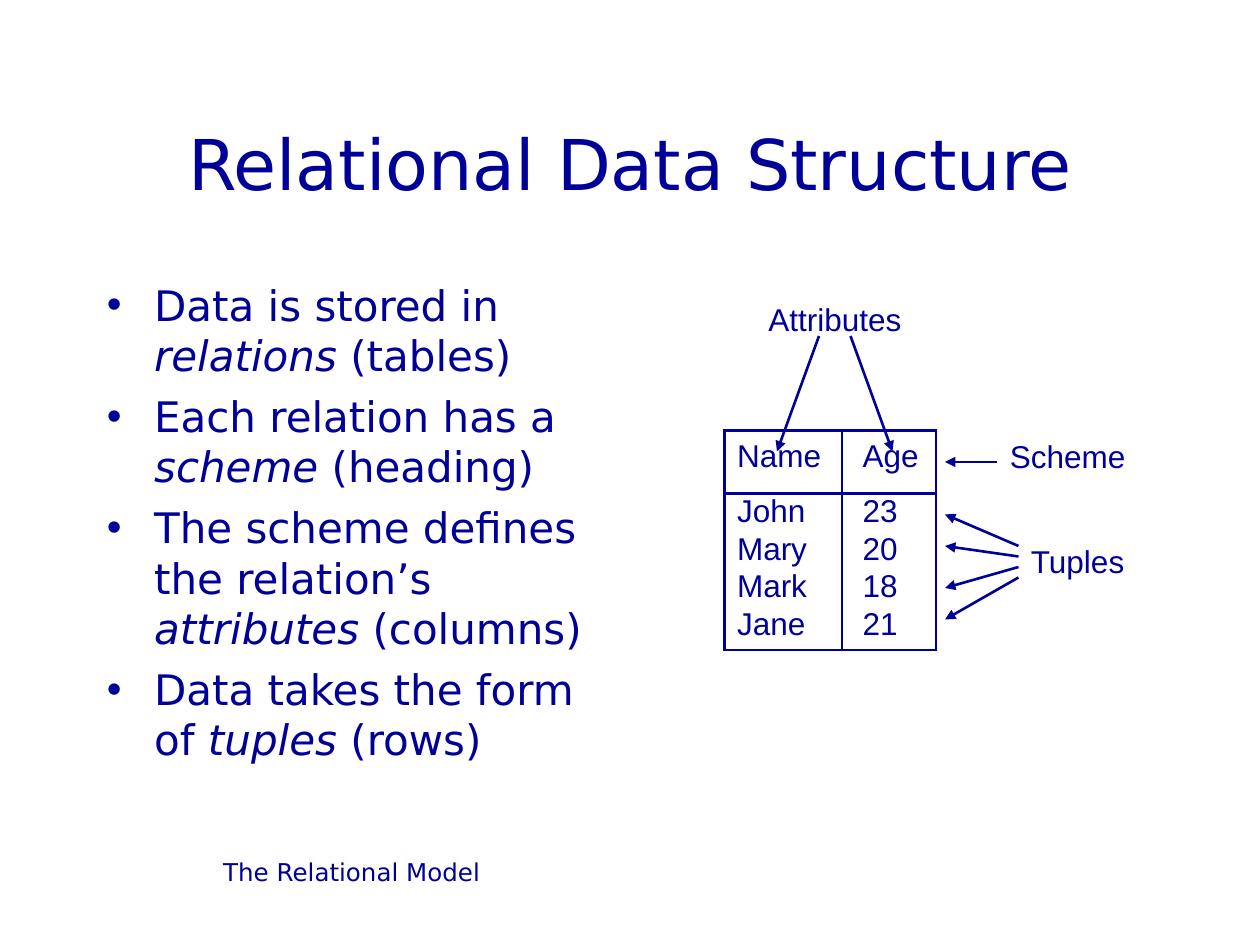
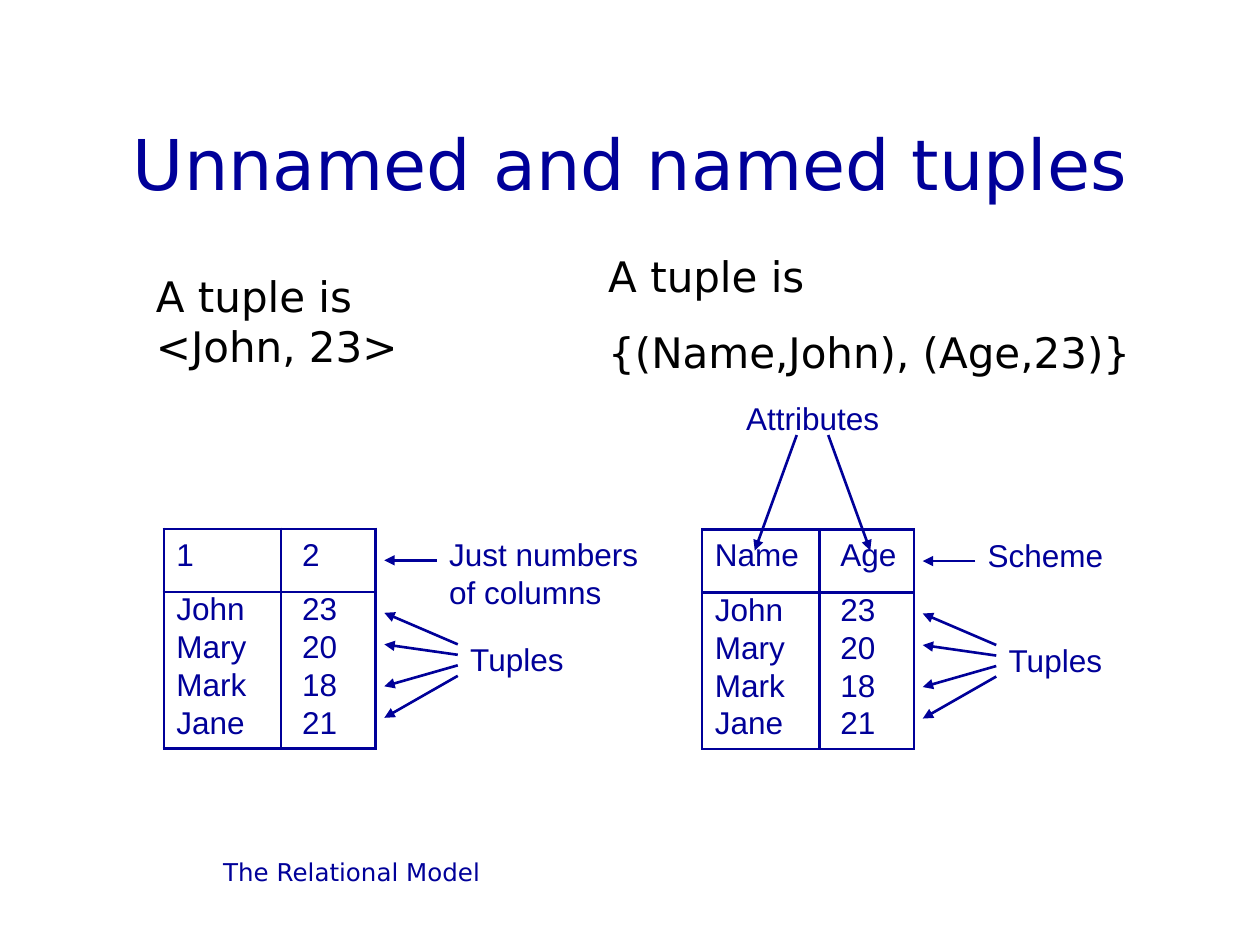
from lxml import etree
from pptx import Presentation
from pptx.dml.color import RGBColor
from pptx.enum import shapes, text
from pptx.oxml import ns
from pptx.util import Pt

NAVY = RGBColor(0x00, 0x00, 0x99)
BLACK = RGBColor(0x00, 0x00, 0x00)
SANS = "DejaVu Sans"
ARIAL = "Arial"
LINE = 1.5
PLAIN = "{2D5ABB26-0587-4C30-8999-92F81FD0307C}"
LEFT, MID, TOP = text.PP_ALIGN.LEFT, text.PP_ALIGN.CENTER, text.MSO_ANCHOR.TOP

PEOPLE = [("John", "23"), ("Mary", "20"), ("Mark", "18"), ("Jane", "21")]
COLS = [(67, 7.2), (54, 12)]
ROWS = [36, 21.7, 21.7, 21.7, 24.5]
POINTS = [
    "Data is stored in *relations* (tables)",
    "Each relation has a *scheme* (heading)",
    "The scheme defines the relation’s *attributes* (columns)",
    "Data takes the form of *tuples* (rows)",
]


def child(node, tag, **attrs):
    """Append a drawing element to a node."""
    return etree.SubElement(node, ns.qn("a:" + tag), attrs)


def style(para, size, face, color=NAVY):
    """Set the font of a whole paragraph."""
    font = para.font
    font.size, font.name = Pt(size), face
    font.color.rgb = color


def add_text(slide, box, lines, size, face, color=NAVY, align=LEFT,
             anchor=TOP, gap=0, bullet=False):
    """Add a text box; words between asterisks are italic."""
    frame = slide.shapes.add_textbox(*map(Pt, box)).text_frame
    frame.word_wrap = True
    frame.vertical_anchor = anchor
    for i, line in enumerate(lines):
        para = frame.add_paragraph() if i else frame.paragraphs[0]
        para.alignment = align
        if i and gap:
            para.space_before = Pt(gap)
        if bullet:
            props = para._p.get_or_add_pPr()
            props.set("marL", str(Pt(27)))
            props.set("indent", str(-Pt(27)))
            child(props, "buFont", typeface=ARIAL)
            child(props, "buChar", char="•")
        style(para, size, face, color)
        for j, part in enumerate(line.split("*")):
            run = para.add_run()
            run.text = part
            if j % 2:
                run.font.italic = True


def add_label(slide, x, y, width, *lines):
    """Add a diagram label with one paragraph a line."""
    height = 7.2 + 21.6 * len(lines)
    add_text(slide, (x, y, width, height), lines, 18, ARIAL)


def add_arrow(slide, *ends):
    """Draw an arrow from the first point to the second."""
    arrow = slide.shapes.add_connector(
        shapes.MSO_CONNECTOR.STRAIGHT, *map(Pt, ends))
    arrow.line.width = Pt(LINE)
    arrow.line.color.rgb = NAVY
    props = arrow._element.spPr
    child(props.get_or_add_ln(), "tailEnd", type="triangle")
    child(props, "effectLst")


def add_edge(cell, side, shown=True):
    """Draw or clear one border of a table cell."""
    edge = child(cell._tc.get_or_add_tcPr(), "ln" + side, w=str(Pt(LINE)))
    if shown:
        child(child(edge, "solidFill"), "srgbClr", val=str(NAVY))
    else:
        child(edge, "noFill")


def add_grid(slide, x, y, heads):
    """Add the table of people under the given column heads."""
    wide = sum(width for width, _ in COLS)
    table = slide.shapes.add_table(
        len(ROWS), len(COLS), *map(Pt, (x, y, wide, sum(ROWS)))).table
    table.first_row = table.horz_banding = False
    table._tbl.tblPr.find(ns.qn("a:tableStyleId")).text = PLAIN
    for col, (width, _) in zip(table.columns, COLS):
        col.width = Pt(width)
    for r, (height, words) in enumerate(zip(ROWS, [heads] + PEOPLE)):
        table.rows[r].height = Pt(height)
        for c, word in enumerate(words):
            cell = table.cell(r, c)
            cell.margin_left = Pt(COLS[c][1])
            cell.margin_top = Pt(0 if r else 5)
            cell.margin_right = cell.margin_bottom = 0
            cell.text = word
            style(cell.text_frame.paragraphs[0], 18, ARIAL)
            add_edge(cell, "L")
            add_edge(cell, "R")
            add_edge(cell, "T", r < 2)
            add_edge(cell, "B", r in (0, len(ROWS) - 1))
            cell.fill.background()


def add_model(slide, x, y, heads, note, width):
    """Add a table with its scheme and tuple labels."""
    add_grid(slide, x, y, heads)
    add_label(slide, x + 156, y, width, *note)
    add_arrow(slide, x + 156, y + 18, x + 126, y + 18)
    add_label(slide, x + 168, y + 60, 74, "Tuples")
    for i, end in enumerate((48, 66, 90, 108)):
        add_arrow(slide, x + 168, y + 66 + 6 * i, x + 126, y + end)


def add_named(slide, x, y):
    """Add the table whose columns are named attributes."""
    add_model(slide, x, y, ("Name", "Age"), ["Scheme"], 86)
    add_label(slide, x + 18, y - 78, 96, "Attributes")
    for start, end in ((54, 30), (72, 96)):
        add_arrow(slide, x + start, y - 54, x + end, y + 12)


def add_slide(deck, title):
    """Add a slide with the shared title and footer."""
    slide = deck.slides.add_slide(deck.slide_layouts[6])
    add_text(slide, (54, 486, 294, 36), ["The Relational Model"], 14, SANS,
             align=MID)
    add_text(slide, (54, 48, 612, 90), [title], 40, SANS, align=MID,
             anchor=text.MSO_ANCHOR.MIDDLE)
    return slide


def main():
    """Build and save the deck."""
    deck = Presentation()
    deck.slide_width, deck.slide_height = Pt(720), Pt(540)

    slide = add_slide(deck, "Relational Data Structure")
    add_text(slide, (54, 156, 300, 324), POINTS, 24, SANS, gap=6, bullet=True)
    add_named(slide, 414, 246)

    slide = add_slide(deck, "Unnamed and named tuples")
    add_named(slide, 401.3, 302.6)
    add_model(slide, 93.6, 302.2, ("1", "2"),
              ["Just numbers", "of columns"], 130)
    add_text(slide, (82, 151, 187, 65), ["A tuple is <John, 23>"],
             24, SANS, BLACK)
    add_text(slide, (340.5, 139.5, 354, 80),
             ["A tuple is", "{(Name,John), (Age,23)}"],
             24, SANS, BLACK, gap=15)

    deck.save("out.pptx")


if __name__ == "__main__":
    main()
